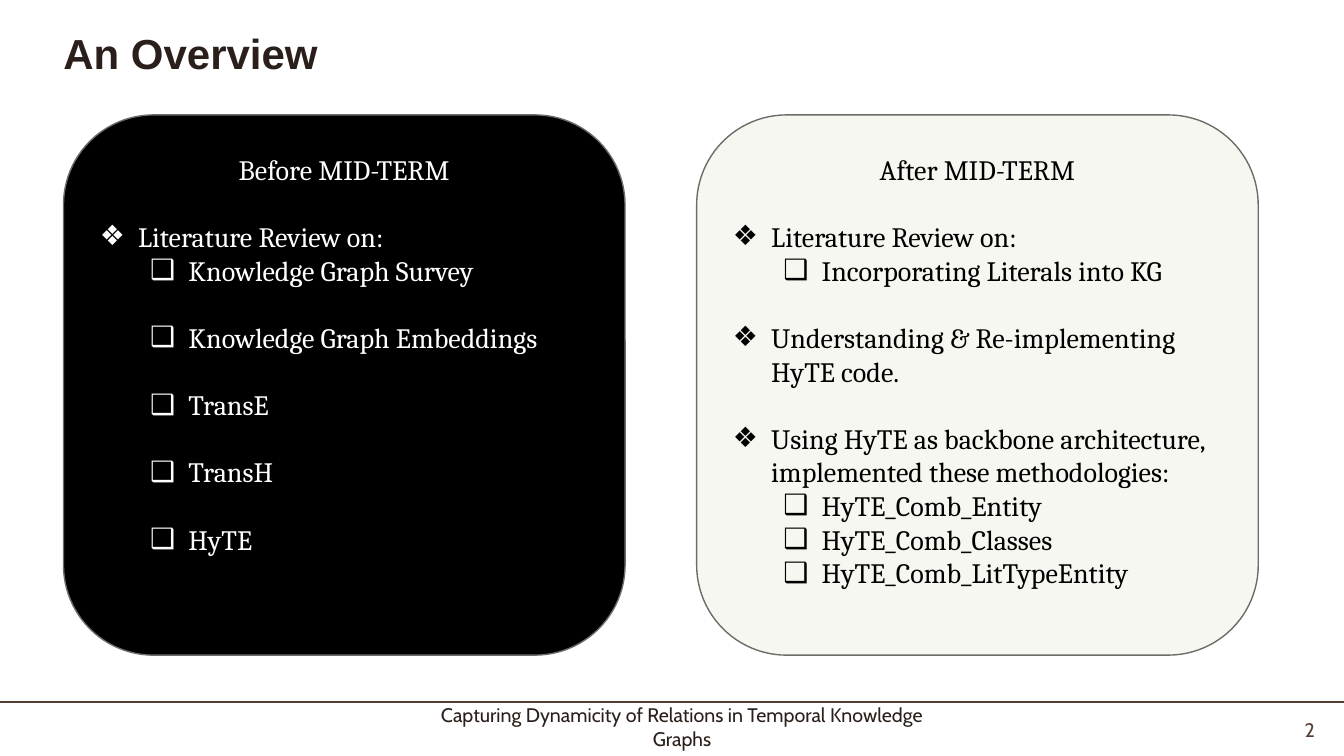
from lxml.etree import SubElement
from pptx import Presentation
from pptx.dml.color import RGBColor
from pptx.enum.shapes import MSO_CONNECTOR as Connector, MSO_SHAPE as Shape
from pptx.enum.text import MSO_ANCHOR as Anchor, PP_ALIGN as Align
from pptx.oxml.ns import qn
from pptx.util import Inches, Pt

COLORS = {
    "ink": "2A1F1A", "brown": "543E34", "outline": "6F6B68",
    "black": "000000", "white": "FFFFFF", "cream": "F6F7F0",
}
BULLETS = {1: ("❖", 0.38), 2: ("❑", 0.88)}
HANGING = 0.38
LINE_GAP = 24
BEFORE = [
    (1, "Literature Review on:", True),
    (2, "Knowledge Graph Survey", False),
    (2, "Knowledge Graph Embeddings", True),
    (2, "TransE", True),
    (2, "TransH", True),
    (2, "HyTE", True),
]
AFTER = [
    (1, "Literature Review on:", True),
    (2, "Incorporating Literals into KG", False),
    (1, "Understanding & Re-implementing HyTE code.", True),
    (1, "Using HyTE as backbone architecture, implemented these methodologies:", True),
    (2, "HyTE_Comb_Entity", False),
    (2, "HyTE_Comb_Classes", False),
    (2, "HyTE_Comb_LitTypeEntity", False),
]


def color(name):
    """Return the named colour."""
    return RGBColor.from_string(COLORS[name])


def write(paragraph, text, *, font, size, ink, bold=False, align=Align.LEFT,
          spacing=None, gap=0, level=0):
    """Fill a paragraph with formatted text, bulleted when it has a level."""
    run = paragraph.add_run()
    run.text = text
    run.font.name, run.font.size, run.font.bold = font, Pt(size), bold
    run.font.color.rgb = color(ink)
    paragraph.alignment = align
    paragraph.space_before = Pt(gap)
    if spacing:
        paragraph.line_spacing = spacing
    if level:
        symbol, indent = BULLETS[level]
        paragraph.level = level - 1
        properties = paragraph._p.get_or_add_pPr()
        properties.set("marL", str(Inches(indent)))
        properties.set("indent", str(-Inches(HANGING)))
        SubElement(properties, qn("a:buFont"), typeface="Arial")
        SubElement(properties, qn("a:buChar"), char=symbol)


def add_label(slide, box, text, anchor=Anchor.MIDDLE, **style):
    """Place a wrapped one-paragraph text box."""
    frame = slide.shapes.add_textbox(*map(Inches, box)).text_frame
    frame.word_wrap = True
    frame.vertical_anchor = anchor
    write(frame.paragraphs[0], text, **style)


def add_panel(slide, box, heading, items, fill, ink):
    """Draw a rounded panel with a centred heading and a bulleted list."""
    panel = slide.shapes.add_shape(Shape.ROUNDED_RECTANGLE, *map(Inches, box))
    panel.shadow.inherit = False
    panel.fill.solid()
    panel.fill.fore_color.rgb = color(fill)
    panel.line.color.rgb = color("outline")
    panel.line.width = Pt(1)
    frame = panel.text_frame
    frame.word_wrap = True
    frame.vertical_anchor = Anchor.TOP
    frame.margin_top = Inches(0.11)
    style = {"font": "Cambria", "size": 20, "ink": ink}
    write(frame.paragraphs[0], heading, align=Align.CENTER, **style)
    for level, text, spaced in items:
        write(frame.add_paragraph(), text, level=level,
              gap=LINE_GAP if spaced else 0, **style)


def add_footer(slide, box, text, number):
    """Draw the rule, the footer text and the slide number."""
    left, top, width, height = box
    rule = slide.shapes.add_connector(
        Connector.STRAIGHT, Inches(left), Inches(top), Inches(left + width), Inches(top))
    rule.line.color.rgb = color("brown")
    rule.line.width = Pt(1.5)
    SubElement(rule._element.spPr, qn("a:effectLst"))
    add_label(slide, (left + 4.06, top + 0.08, 5.41, 0.34), text,
              font="Cabin", size=14, ink="ink", align=Align.CENTER)
    add_label(slide, (left + width - 1.27, top + 0.11, 1.08, 0.34), number,
              font="Cabin", size=14, ink="brown", align=Align.RIGHT)


def main():
    """Build and save the overview slide."""
    presentation = Presentation()
    presentation.slide_width, presentation.slide_height = Inches(13.33), Inches(7.5)
    slide = presentation.slides.add_slide(presentation.slide_layouts[6])
    add_label(slide, (0.53, 0.24, 7.97, 0.59), "An Overview", anchor=Anchor.BOTTOM,
              font="Arial", size=30, ink="ink", bold=True, spacing=0.9)
    add_footer(slide, (0, 6.96, 13.33, 0.54),
               "Capturing Dynamicity of Relations in Temporal Knowledge Graphs", "2")
    add_panel(slide, (0.63, 1.14, 5.57, 5.36), "Before MID-TERM", BEFORE, "black", "white")
    add_panel(slide, (6.91, 1.14, 5.57, 5.36), "After MID-TERM", AFTER, "cream", "black")
    presentation.save("out.pptx")


if __name__ == "__main__":
    main()
